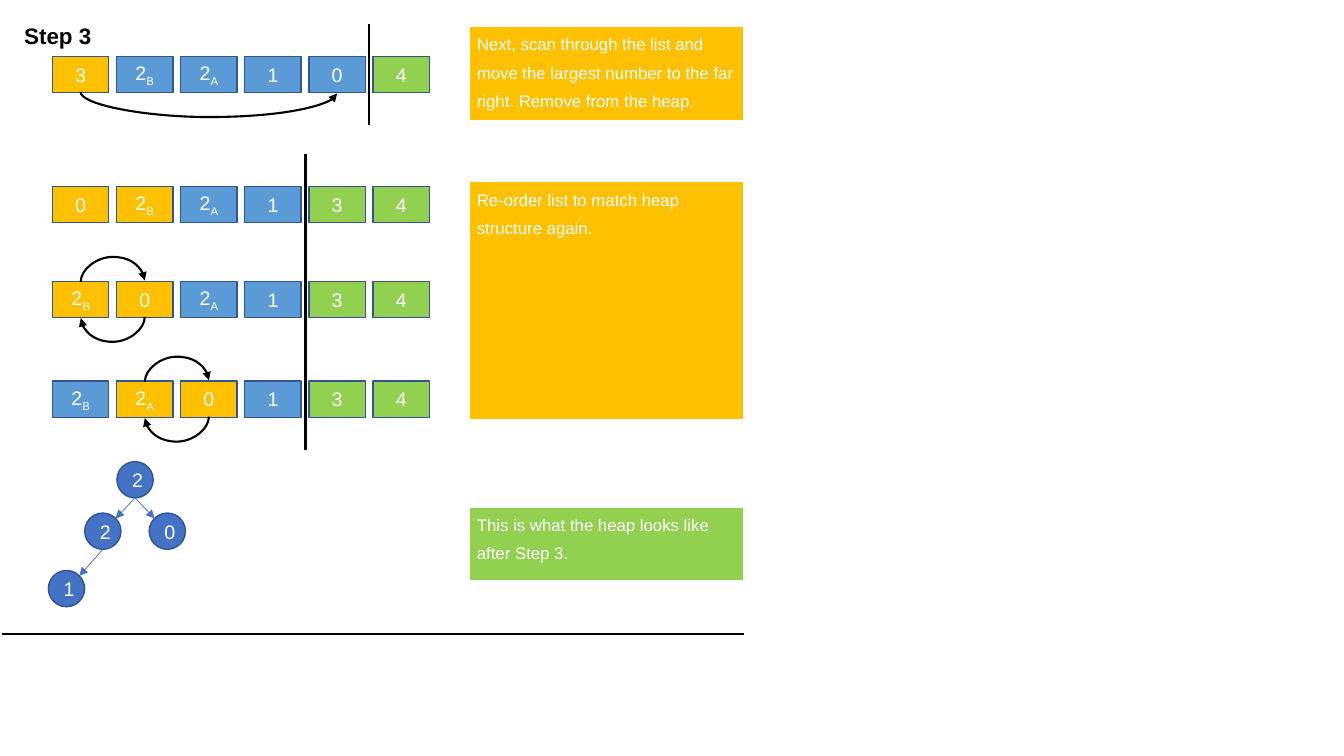
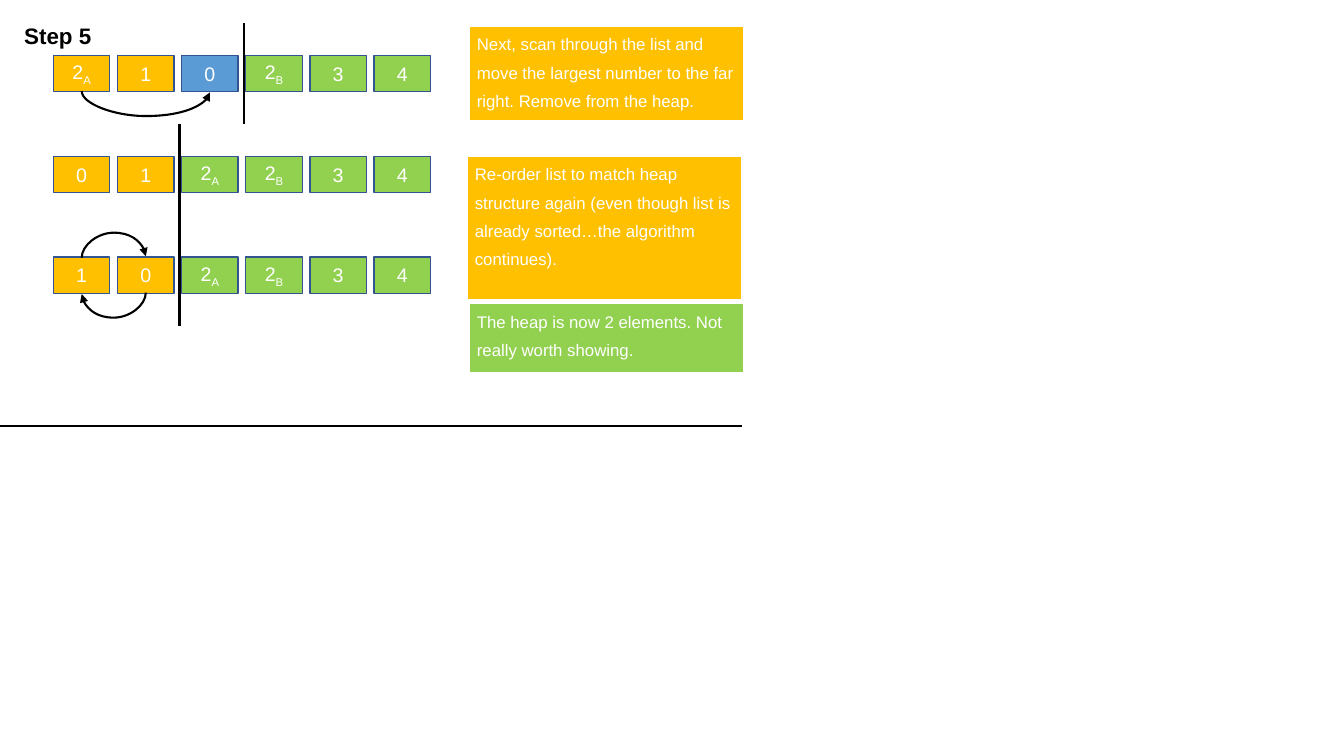
from math import sqrt

from lxml import etree
from pptx import Presentation
from pptx.dml.color import RGBColor
from pptx.enum.shapes import MSO_CONNECTOR, MSO_SHAPE
from pptx.enum.text import MSO_ANCHOR, MSO_AUTO_SIZE, PP_ALIGN
from pptx.oxml.ns import qn
from pptx.util import Inches, Pt

BLACK = RGBColor(0x00, 0x00, 0x00)
WHITE = RGBColor(0xFF, 0xFF, 0xFF)
BLUE = RGBColor(0x5B, 0x9B, 0xD5)
NODE_BLUE = RGBColor(0x44, 0x72, 0xC4)
OUTLINE = RGBColor(0x32, 0x54, 0x91)
ORANGE = RGBColor(0xFF, 0xC0, 0x00)
GREEN = RGBColor(0x92, 0xD0, 0x50)
STATE_FILLS = {"h": BLUE, "a": ORANGE, "s": GREEN}  # heap, active, sorted

FONT = "Arial"
CELL_W, CELL_H = 0.56, 0.36
PITCH = (3.70 - 0.52) / 5
NODE = 0.36
NOTE_W = 2.72
SCAN_TEXT = ("Next, scan through the list and move the largest number "
             "to the far right. Remove from the heap.")


class Deck:
    """Holds the shared style and the current slide."""

    def __init__(self):
        """Start a widescreen presentation."""
        self.prs = Presentation()
        self.prs.slide_width = Inches(13.33)
        self.prs.slide_height = Inches(7.5)

    def new_slide(self, title, list_left):
        """Add a titled slide whose lists start at list_left."""
        self.s = self.prs.slides.add_slide(self.prs.slide_layouts[5])
        self.list_left = list_left
        sp = self.s.shapes.title
        sp.left, sp.top = Inches(0.14), Inches(0.17)
        sp.width, sp.height = Inches(0.88), Inches(0.37)
        tf = sp.text_frame
        tf.text = title
        tf.word_wrap = False
        tf.auto_size = MSO_AUTO_SIZE.SHAPE_TO_FIT_TEXT
        tf.vertical_anchor = MSO_ANCHOR.TOP
        tf.paragraphs[0].alignment = PP_ALIGN.LEFT
        self.style_run(tf.paragraphs[0].runs[0], 16, BLACK, True)

    def style_run(self, r, size, color, bold=False):
        """Set the font of a run."""
        r.font.name, r.font.size, r.font.bold = FONT, Pt(size), bold
        r.font.color.rgb = color

    def box(self, shapes, kind, x, y, w, h, fill, label):
        """Add an outlined shape; a letter after the digit is a subscript."""
        sp = shapes.add_shape(kind, Inches(x), Inches(y), Inches(w), Inches(h))
        sp.shadow.inherit = False
        sp.fill.solid()
        sp.fill.fore_color.rgb = fill
        sp.line.color.rgb = OUTLINE
        sp.line.width = Pt(1)
        tf = sp.text_frame
        tf.vertical_anchor = MSO_ANCHOR.MIDDLE
        p = tf.paragraphs[0]
        p.alignment = PP_ALIGN.CENTER
        for i, char in enumerate(label):
            r = p.add_run()
            r.text = char
            self.style_run(r, 14, WHITE)
            if i:
                r.font._element.set("baseline", "-25000")

    def line(self, x1, y1, x2, y2, color=BLACK, width=1.5, arrow=False,
             kind=MSO_CONNECTOR.STRAIGHT, shapes=None):
        """Add a connector, with an arrowhead at its end if asked."""
        shapes = shapes or self.s.shapes
        c = shapes.add_connector(kind, Inches(x1), Inches(y1),
                                 Inches(x2), Inches(y2))
        c.line.color.rgb = color
        c.line.width = Pt(width)
        if arrow:
            etree.SubElement(c.line._get_or_add_ln(), qn("a:tailEnd"),
                             type="triangle")
        etree.SubElement(c._element.spPr, qn("a:effectLst"))
        return c

    def center(self, i):
        """Return the horizontal centre of list cell i."""
        return self.list_left + i * PITCH + CELL_W / 2

    def arc(self, start, end, y, up=False):
        """Add a curved arrow between two cells, bulging up or down."""
        x1, x2 = self.center(start), self.center(end)
        span, thin = abs(x2 - x1), Pt(1)
        c = self.line(0, 0, 1, 1, arrow=True, kind=MSO_CONNECTOR.CURVE)
        c.left = Inches((x1 + x2) / 2) - thin // 2
        c.top = Inches(y - span / 2)
        c.width, c.height = thin, Inches(span)
        xfrm = c._element.spPr.find(qn("a:xfrm"))
        rightward = x2 > x1
        xfrm.set("rot", str((90 if up or not rightward else 270) * 60000))
        if rightward:
            xfrm.set("flipH", "1")
        if up:
            xfrm.set("flipV", "1")
        guides = c._element.spPr.find(qn("a:prstGeom")).find(qn("a:avLst"))
        etree.SubElement(guides, qn("a:gd"), name="adj1", fmla="val 1800000")

    def swap(self, i, y):
        """Show cells i and i + 1 of the list at y changing places."""
        self.arc(i, i + 1, y, up=True)
        self.arc(i + 1, i, y + CELL_H)

    def number_list(self, y, labels, states, divider):
        """Add a row of cells and the line between heap and sorted part."""
        for i, (label, state) in enumerate(zip(labels.split(), states)):
            self.box(self.s.shapes, MSO_SHAPE.RECTANGLE,
                     self.list_left + i * PITCH, y, CELL_W, CELL_H,
                     STATE_FILLS[state], label)
        self.line(divider, y - 0.32, divider, y + 0.68)

    def note(self, y, h, text, fill=ORANGE, x=4.66):
        """Add a one-cell table with an explanation."""
        table = self.s.shapes.add_table(1, 1, Inches(x), Inches(y),
                                        Inches(NOTE_W), Inches(h)).table
        table.first_row = table.horz_banding = False
        cell = table.cell(0, 0)
        cell.margin_left = cell.margin_right = Inches(0.07)
        cell.margin_top = cell.margin_bottom = 0
        cell.text = text
        p = cell.text_frame.paragraphs[0]
        p.line_spacing = 1.5
        self.style_run(p.runs[0], 12, WHITE)
        tc_pr = cell._tc.get_or_add_tcPr()
        for side, width in (("L", 1), ("R", 1), ("T", 1), ("B", 3)):
            ln = etree.SubElement(tc_pr, qn("a:ln" + side), w=str(Pt(width)))
            solid = etree.SubElement(ln, qn("a:solidFill"))
            etree.SubElement(solid, qn("a:srgbClr"), val=str(WHITE))
        cell.fill.solid()
        cell.fill.fore_color.rgb = fill

    def tree(self, nodes, edges):
        """Add a grouped heap tree; nodes are (label, x, y)."""
        shapes = self.s.shapes.add_group_shape().shapes
        for label, x, y in nodes:
            self.box(shapes, MSO_SHAPE.OVAL, x, y, NODE, NODE, NODE_BLUE, label)
        inset = NODE / 2 * (1 - sqrt(0.5))
        for parent, child in edges:
            _, px, py = nodes[parent]
            _, cx, cy = nodes[child]
            end = cx + (NODE - inset if cx < px else inset)
            self.line(px + NODE / 2, py + NODE, end, cy + inset,
                      NODE_BLUE, 0.5, True, shapes=shapes)


def step_three(deck):
    """Build the slide for step 3."""
    deck.new_slide("Step 3", 0.52)
    deck.number_list(0.56, "3 2B 2A 1 0 4", "ahhhhs", 3.66)
    deck.arc(0, 4, 0.56 + CELL_H)
    deck.number_list(1.85, "0 2B 2A 1 3 4", "aahhss", 3.03)
    deck.number_list(2.79, "2B 0 2A 1 3 4", "aahhss", 3.03)
    deck.swap(0, 2.79)
    deck.number_list(3.78, "2B 2A 0 1 3 4", "haahss", 3.03)
    deck.swap(1, 3.78)
    deck.tree([("2", 1.16, 4.58), ("2", 0.84, 5.09),
               ("0", 1.48, 5.09), ("1", 0.48, 5.66)],
              [(0, 1), (0, 2), (1, 3)])
    deck.note(0.26, 0.95, SCAN_TEXT)
    deck.note(1.8, 2.38, "Re-order list to match heap structure again.")
    deck.note(5.03, 0.74, "This is what the heap looks like after Step 3.",
              GREEN)
    deck.line(0.02, 6.29, 7.38, 6.29)


def step_five(deck):
    """Build the slide for step 5."""
    deck.new_slide("Step 5", 0.53)
    deck.number_list(0.55, "2A 1 0 2B 3 4", "aahsss", 2.42)
    deck.arc(0, 2, 0.55 + CELL_H)
    deck.number_list(1.55, "0 1 2A 2B 3 4", "aassss", 1.78)
    deck.number_list(2.55, "1 0 2A 2B 3 4", "aassss", 1.78)
    deck.swap(0, 2.55)
    deck.note(0.26, 0.95, SCAN_TEXT)
    deck.note(1.55, 1.43, "Re-order list to match heap structure again (even "
              "though list is already sorted…the algorithm continues).", x=4.64)
    deck.note(3.01, 0.7, "The heap is now 2 elements. Not really worth showing.",
              GREEN)
    deck.line(0, 4.23, 7.36, 4.23)


deck = Deck()
step_three(deck)
step_five(deck)
deck.prs.save("out.pptx")
